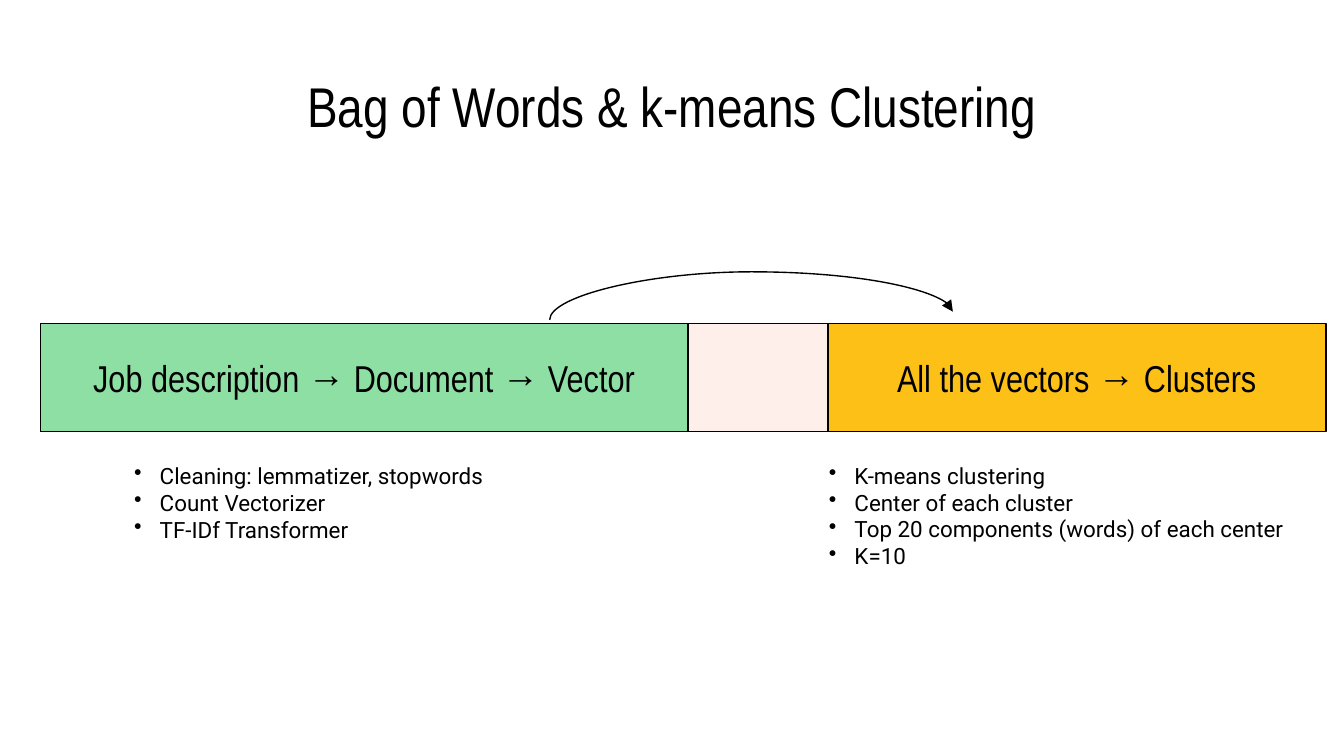
from dataclasses import dataclass

import pptx
import pptx.dml.color
import pptx.enum.shapes
import pptx.enum.text
import pptx.oxml.ns
import pptx.util
from lxml import etree

Pt = pptx.util.Pt
RGB = pptx.dml.color.RGBColor
Align = pptx.enum.text.PP_ALIGN
qn = pptx.oxml.ns.qn


@dataclass(frozen=True)
class Theme:
    ink: RGB = RGB(0x00, 0x00, 0x00)
    band: RGB = RGB(0xFE, 0xEF, 0xEA)
    document: RGB = RGB(0x8E, 0xDF, 0xA3)
    clusters: RGB = RGB(0xFD, 0xC0, 0x17)
    heading_font: str = "Arial Narrow"
    body_font: str = "Roboto"
    title_size: float = 30
    stage_size: float = 20
    body_size: float = 12
    line_width: float = 0.75
    inset: float = 7.2
    indent: float = 13.7


@dataclass(frozen=True)
class Stage:
    left: float
    width: float
    fill: RGB
    label: str = ""


@dataclass(frozen=True)
class Details:
    left: float
    width: float
    items: tuple[str, ...]
    lift: float = 0  # extra bottom inset that raises the text


THEME = Theme()
STAGE_TOP, STAGE_HEIGHT = 173.3, 57.9
DETAILS_TOP, DETAILS_HEIGHT = 257.8, 36.7
BODY_LINE = 14.2

STAGES = (
    Stage(21.6, 688.8, THEME.band),
    Stage(443.6, 266.6, THEME.clusters, "All the vectors → Clusters"),
    Stage(21.6, 347, THEME.document, "Job description → Document → Vector"),
)
DETAILS = (
    Details(64.8, 236.2, ("Cleaning: lemmatizer, stopwords", "Count Vectorizer",
                          "TF-IDf Transformer"), lift=BODY_LINE),
    Details(437, 272.9, ("K-means clustering", "Center of each cluster",
                         "Top 20 components (words) of each center", "K=10")),
)


def format_frame(frame, lift: float = 0) -> None:
    frame.word_wrap = True
    frame.auto_size = pptx.enum.text.MSO_AUTO_SIZE.NONE
    frame.vertical_anchor = pptx.enum.text.MSO_ANCHOR.MIDDLE
    frame.margin_left = frame.margin_right = frame.margin_top = Pt(THEME.inset)
    frame.margin_bottom = Pt(THEME.inset + lift)


def add_run(paragraph, text: str, font: str, size: float, align: Align) -> None:
    paragraph.alignment = align
    run = paragraph.add_run()
    run.text = text
    run.font.name = font
    run.font.size = Pt(size)
    run.font.color.rgb = THEME.ink


def add_title(slide, text: str) -> None:
    title = slide.shapes.title
    title.left, title.top, title.width, title.height = Pt(36), Pt(32.4), Pt(648), Pt(47.5)
    format_frame(title.text_frame)
    add_run(title.text_frame.paragraphs[0], text, THEME.heading_font,
            THEME.title_size, Align.CENTER)


def add_stage(slide, stage: Stage) -> None:
    box = slide.shapes.add_shape(
        pptx.enum.shapes.MSO_SHAPE.RECTANGLE,
        Pt(stage.left), Pt(STAGE_TOP), Pt(stage.width), Pt(STAGE_HEIGHT))
    box.shadow.inherit = False
    box.fill.solid()
    box.fill.fore_color.rgb = stage.fill
    box.line.color.rgb = THEME.ink
    box.line.width = Pt(THEME.line_width)
    if stage.label:
        format_frame(box.text_frame)
        add_run(box.text_frame.paragraphs[0], stage.label, THEME.heading_font,
                THEME.stage_size, Align.CENTER)


def add_bullet(paragraph) -> None:
    properties = paragraph._p.get_or_add_pPr()
    properties.set("marL", str(Pt(THEME.indent)))
    properties.set("indent", str(-Pt(THEME.indent)))
    colour = etree.SubElement(properties, qn("a:buClr"))
    etree.SubElement(colour, qn("a:srgbClr"), val=str(THEME.ink))
    etree.SubElement(properties, qn("a:buChar"), char="•")


def add_details(slide, details: Details) -> None:
    frame = slide.shapes.add_textbox(
        Pt(details.left), Pt(DETAILS_TOP), Pt(details.width), Pt(DETAILS_HEIGHT)).text_frame
    format_frame(frame, details.lift)
    for index, item in enumerate(details.items):
        paragraph = frame.add_paragraph() if index else frame.paragraphs[0]
        add_bullet(paragraph)
        add_run(paragraph, item, THEME.body_font, THEME.body_size, Align.LEFT)


def add_arc(slide, start: tuple[float, float], end: tuple[float, float], rise: float) -> None:
    """Draw a curved arrow that peaks `rise` points above its start."""
    run, drop = end[0] - start[0], start[1] - end[1]
    centre_x, centre_y = (start[0] + end[0]) / 2, (start[1] + end[1]) / 2
    # The connector is laid out upright, then turned a quarter clockwise.
    arc = slide.shapes.add_connector(
        pptx.enum.shapes.MSO_CONNECTOR.CURVE,
        Pt(centre_x + drop / 2), Pt(centre_y + run / 2),
        Pt(centre_x - drop / 2), Pt(centre_y - run / 2))
    arc.line.color.rgb = THEME.ink
    arc.line.width = Pt(THEME.line_width)
    properties = arc._element.spPr
    properties.find(qn("a:xfrm")).set("rot", str(90 * 60000))
    adjustments = properties.find(qn("a:prstGeom")).find(qn("a:avLst"))
    etree.SubElement(adjustments, qn("a:gd"), name="adj1",
                     fmla=f"val {round(rise / drop * 100000)}")
    etree.SubElement(properties.find(qn("a:ln")), qn("a:tailEnd"), type="triangle")
    etree.SubElement(properties, qn("a:effectLst"))


def main() -> None:
    deck = pptx.Presentation()
    deck.slide_width, deck.slide_height = Pt(720), Pt(405)
    slide = deck.slides.add_slide(deck.slide_layouts[5])
    add_title(slide, "Bag of Words & k-means Clustering")
    for stage in STAGES:
        add_stage(slide, stage)
    for details in DETAILS:
        add_details(slide, details)
    add_arc(slide, start=(294.5, 171.4), end=(510.5, 167), rise=25.8)
    deck.save("out.pptx")


if __name__ == "__main__":
    main()
